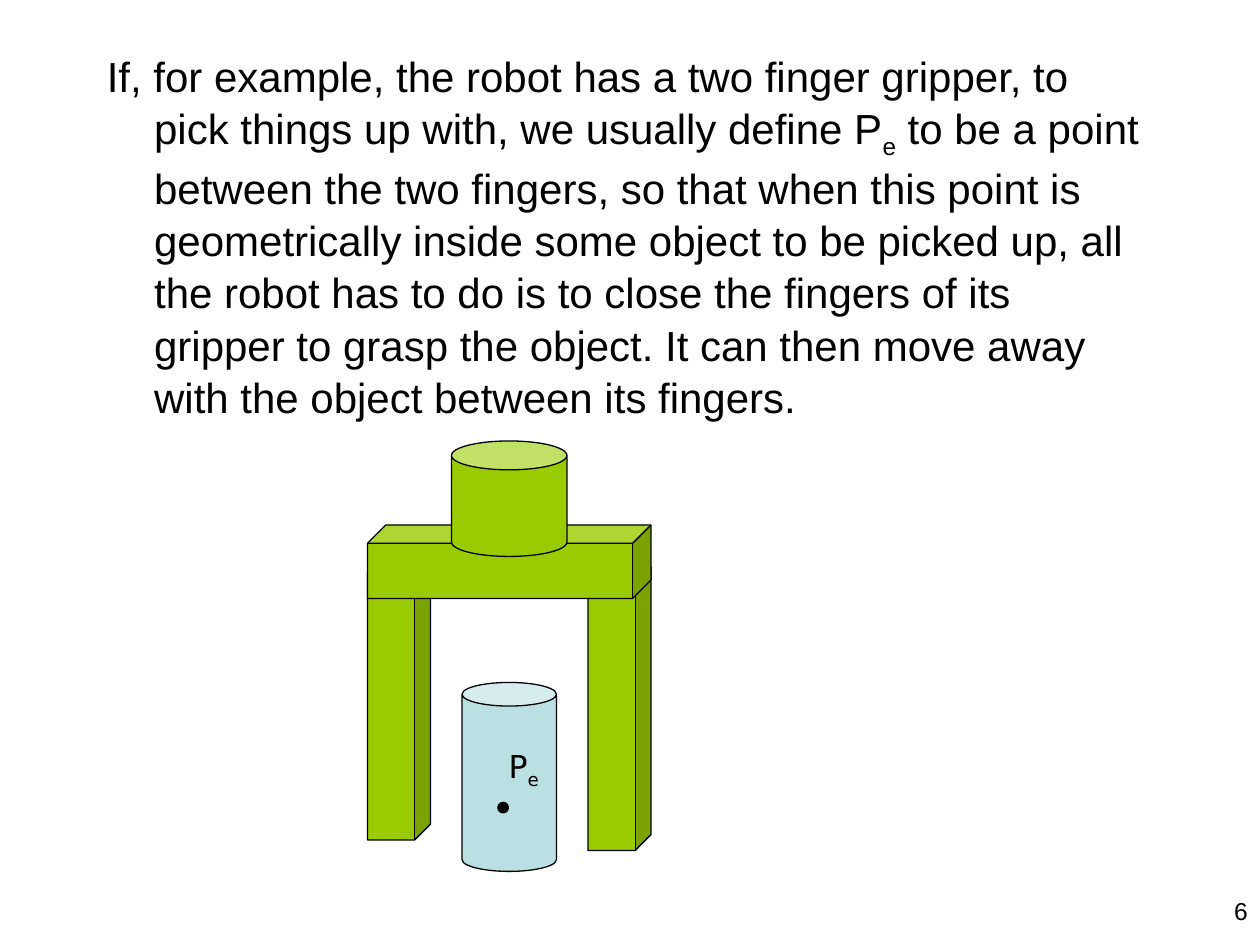
import pptx
import pptx.util
import pptx.dml.color
import pptx.enum.shapes
import pptx.enum.text

Pt = pptx.util.Pt
Kind = pptx.enum.shapes.MSO_SHAPE
Align = pptx.enum.text.PP_ALIGN

HUES = {"green": "99CC00", "blue": "BBE0E3", "black": "000000"}

BODY = [
    ("If, for example, the robot has a two finger gripper, to pick things up with, "
     "we usually define P", False),
    ("e", True),
    (" to be a point between the two fingers, so that when this point is "
     "geometrically inside some object to be picked up, all the robot has to do is "
     "to close the fingers of its gripper to grasp the object. It can then move away "
     "with the object between its fingers.", False),
]
LABEL = [("P", False), ("e", True)]
PAGE = [("6", False)]

PARTS = [
    (Kind.CUBE, "green", (336, 324, 36, 162)),
    (Kind.CUBE, "green", (210, 318, 36, 162)),
    (Kind.CUBE, "green", (210, 300, 162, 42)),
    (Kind.CAN, "blue", (264, 390, 54, 108)),
    (Kind.CAN, "green", (258, 252, 66, 66)),
    (Kind.OVAL, "black", (284.5, 458.5, 6, 6)),
]


def hue(name):
    return pptx.dml.color.RGBColor.from_string(HUES[name])


def draw(slide, kind, name, box):
    part = slide.shapes.add_shape(kind, *map(Pt, box))
    part.shadow.inherit = False
    part.fill.solid()
    part.fill.fore_color.rgb = hue(name)
    part.line.color.rgb = hue("black")
    part.line.width = Pt(0.75)
    if kind != Kind.OVAL:
        part.adjustments[0] = 0.25


def write(slide, runs, box, font, size):
    frame = slide.shapes.add_textbox(*map(Pt, box)).text_frame
    frame.word_wrap = True
    para = frame.paragraphs[0]
    for text, sub in runs:
        run = para.add_run()
        run.text = text
        run.font.name = font
        run.font.size = Pt(size)
        run.font.color.rgb = hue("black")
        if sub:
            run.font._element.set("baseline", "-25000")
    return para


def main():
    deck = pptx.Presentation()
    deck.slide_width, deck.slide_height = Pt(720), Pt(540)
    slide = deck.slides.add_slide(deck.slide_layouts[6])

    para = write(slide, BODY, (54, 24, 612, 366), "Arial", 24)
    para.space_before = Pt(6)
    para.line_spacing = 1.04
    props = para._p.get_or_add_pPr()
    props.set("marL", str(Pt(27)))
    props.set("indent", str(-Pt(27)))

    for kind, name, box in PARTS:
        draw(slide, kind, name, box)

    write(slide, LABEL, (283.5, 423.5, 43, 32), "DejaVu Sans", 18)
    para = write(slide, PAGE, (552, 508.5, 168, 37.5), "Arial", 14)
    para.alignment = Align.RIGHT
    deck.save("out.pptx")


if __name__ == "__main__":
    main()
